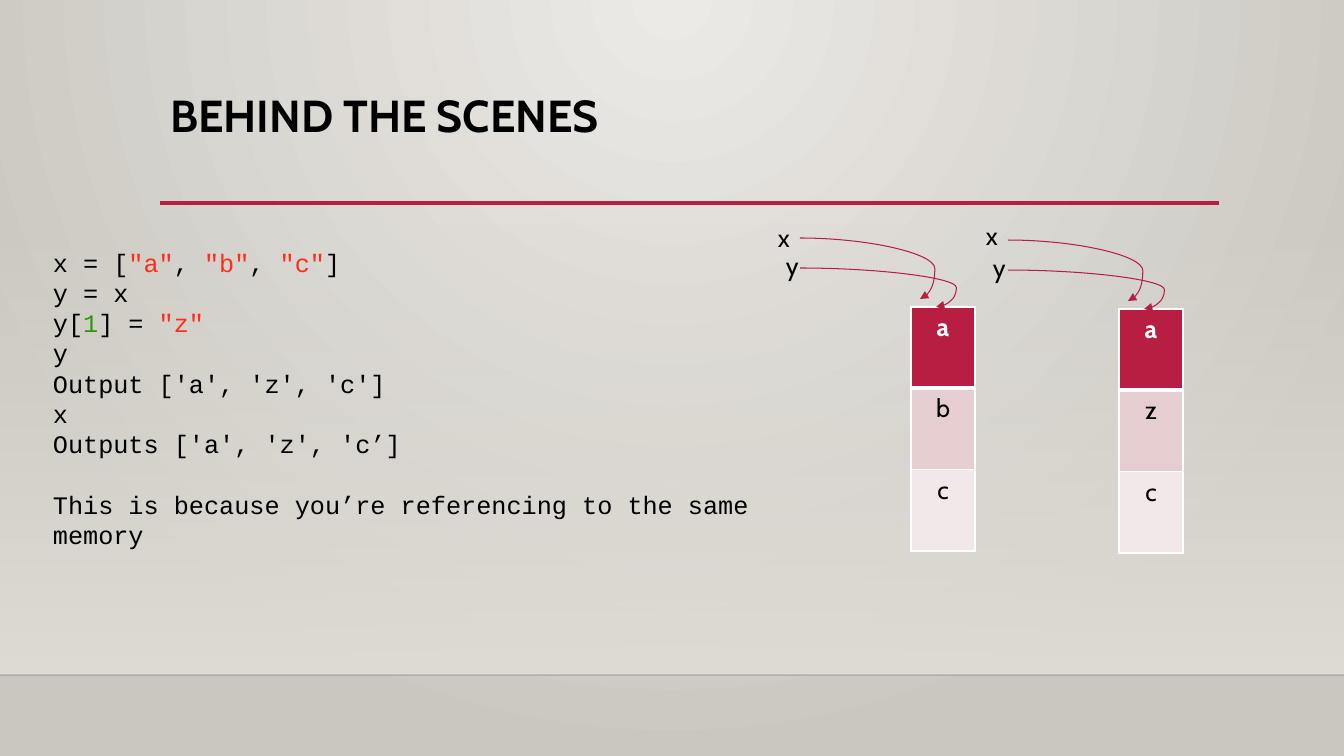
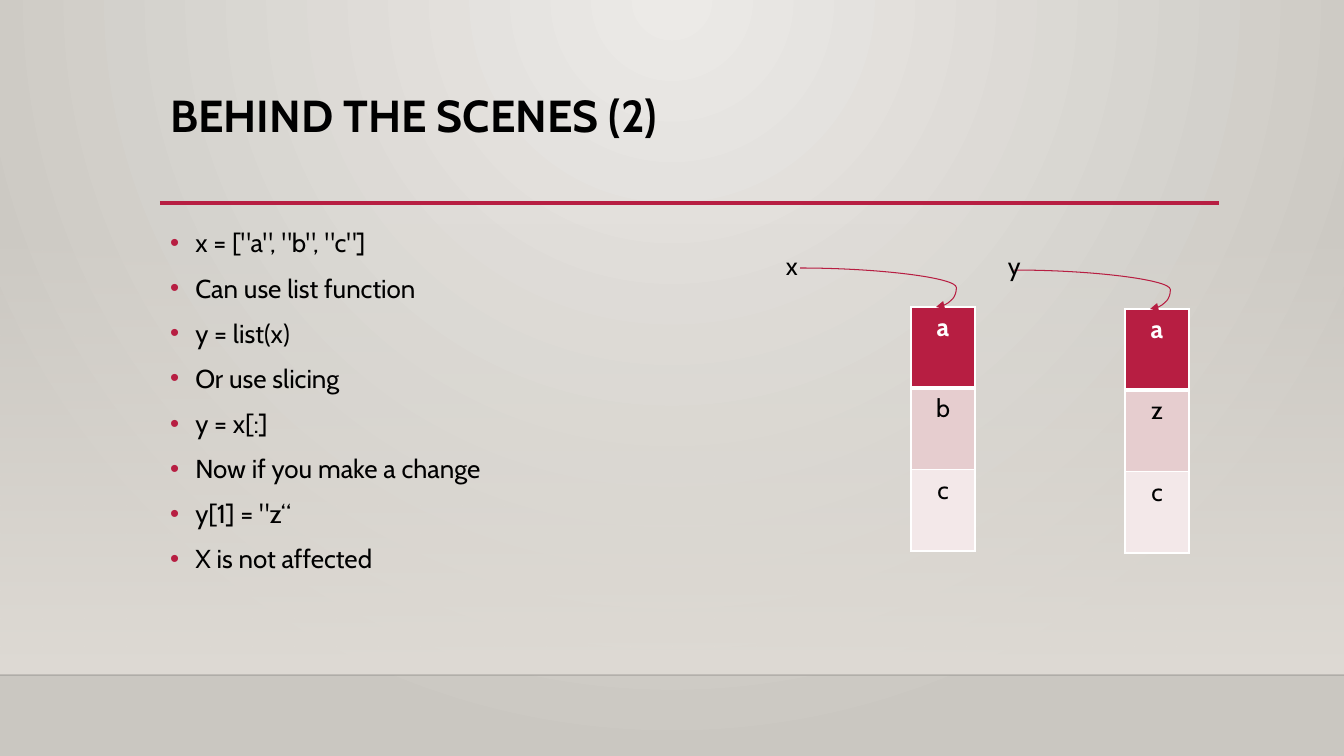
"""Builds two slides on how list references and list copies behave in memory."""
from lxml.etree import SubElement
from pptx import Presentation
from pptx.dml.color import RGBColor
from pptx.enum.shapes import MSO_CONNECTOR as LINE, MSO_SHAPE as SHAPE
from pptx.enum.text import MSO_ANCHOR as ANCHOR, MSO_AUTO_SIZE as FIT, PP_ALIGN as ALIGN
from pptx.oxml.ns import qn
from pptx.util import Emu, Pt

PX = 9071.43
BLACK = RGBColor(0, 0, 0)
WHITE = RGBColor(0xFF, 0xFF, 0xFF)
CRIMSON = RGBColor(0xB7, 0x1E, 0x42)
ROSE = RGBColor(0xE6, 0xCD, 0xCF)
BLUSH = RGBColor(0xF3, 0xE8, 0xE9)
PALE = RGBColor(0xEC, 0xEA, 0xE7)
STONE = RGBColor(0xCA, 0xC7, 0xC1)
SAND = RGBColor(0xDF, 0xDB, 0xD5)
RED = RGBColor(0xFF, 0x2C, 0x1B)
GREEN = RGBColor(0x2A, 0x9A, 0x0B)


def write(para, text, font="Cabin", size=18, color=BLACK, bold=False):
    span = para.add_run()
    span.text = text
    span.font.name = font
    span.font.size = Pt(size)
    span.font.color.rgb = color
    span.font.bold = bold


def draw_line(page, ends, kind=LINE.STRAIGHT, color=CRIMSON, width=0.75):
    line = page.shapes.add_connector(kind, *[Emu(int(n * PX)) for n in ends])
    line.line.color.rgb = color
    line.line.width = Pt(width)
    SubElement(line._element.spPr, qn("a:effectLst"))
    return line


deck = Presentation()
deck.slide_width = Emu(int(1344 * PX))
deck.slide_height = Emu(int(756 * PX))
master = deck.slide_master
code_page = deck.slides.add_slide(deck.slide_layouts[5])
copy_page = deck.slides.add_slide(deck.slide_layouts[1])

band = code_page.shapes.add_shape(SHAPE.RECTANGLE, *[Emu(int(n * PX)) for n in (0, 223, 1344, 452)])
band.shadow.inherit = False
band.line.fill.background()
backdrop = master.background.fill
for fill, colors in ((backdrop, (PALE, STONE)), (band.fill, (SAND, SAND))):
    fill.gradient()
    for stop, color, position in zip(fill.gradient_stops, colors, (0, 1)):
        stop.color.rgb = color
        stop.position = position
band.fill.gradient_angle = 270
clear_stop = band._element.xpath(".//a:gs/a:srgbClr")[0]
SubElement(clear_stop, qn("a:alpha"), val="0")
linear = master._element.xpath(".//p:bg//a:lin")[0]
radial = SubElement(linear.getparent(), qn("a:path"), {"path": "circle"})
SubElement(radial, qn("a:fillToRect"), l="43000", t="0", r="43000", b="100000")
linear.getparent().replace(linear, radial)

floor = draw_line(code_page, (0, 675, 1344, 675), color=RGBColor(0, 0, 1), width=1)
SubElement(floor._element.xpath(".//a:ln//a:srgbClr")[0], qn("a:alpha"), val="20000")
rule = draw_line(code_page, (160, 203, 1219, 203), width=2.5)
for index, item in enumerate((band, floor, rule)):
    item._element.xpath(".//p:cNvPr")[0].set("id", str(20 + index))
    master.shapes._spTree.insert(2 + index, item._element)

for page, heading in ((code_page, "BEHIND THE SCENES"), (copy_page, "BEHIND THE SCENES (2)")):
    title = page.shapes.title
    title.left, title.top, title.width, title.height = [Emu(int(n * PX)) for n in (160, 89, 1058, 116)]
    title.text_frame.vertical_anchor = ANCHOR.TOP
    title.text_frame.auto_size = FIT.NONE
    para = title.text_frame.paragraphs[0]
    para.alignment = ALIGN.LEFT
    para.line_spacing = 0.9
    write(para, heading, size=32, bold=True)

code_lines = [
    [("x = [", BLACK), ('"a"', RED), (", ", BLACK), ('"b"', RED), (", ", BLACK), ('"c"', RED), ("]", BLACK)],
    [("y = x", BLACK)],
    [("y[", BLACK), ("1", GREEN), ("] = ", BLACK), ('"z"', RED)],
    [("y", BLACK)],
    [("Output ['a', 'z', 'c']", BLACK)],
    [("x", BLACK)],
    [("Outputs ['a', 'z', 'c’]", BLACK)],
    [("This is because you’re referencing to the same memory", BLACK)],
]
code_box = code_page.shapes.add_textbox(*[Emu(int(n * PX)) for n in (43, 242, 719, 285)])
code_frame = code_box.text_frame
code_frame.word_wrap = True
for index, pieces in enumerate(code_lines):
    para = code_frame.add_paragraph() if index else code_frame.paragraphs[0]
    para.line_spacing = Pt(21.6)
    for text, color in pieces:
        write(para, text, font="Courier New", color=color)
para.space_before = Pt(21.6)

bullets = ['x = ["a", "b", "c"]', "Can use list function", "y = list(x)", "Or use slicing",
           "y = x[:]", "Now if you make a change", 'y[1] = "z“', "X is not affected"]
body = copy_page.placeholders[1]
body.left, body.top, body.width, body.height = [Emu(int(n * PX)) for n in (160, 222, 1058, 380)]
body_frame = body.text_frame
body_frame.auto_size = FIT.NONE
body_frame.vertical_anchor = ANCHOR.TOP
for index, text in enumerate(bullets):
    para = body_frame.add_paragraph() if index else body_frame.paragraphs[0]
    para.space_before = Pt(10)
    write(para, text, size=18.5)
    props = para._p.get_or_add_pPr()
    props.set("marL", "228600")
    props.set("indent", "-228600")
    SubElement(SubElement(props, qn("a:buClr")), qn("a:srgbClr"), val=str(CRIMSON))
    SubElement(props, qn("a:buFont"), typeface="Arial")
    SubElement(props, qn("a:buChar"), char="•")

LONG_ARROW = (-111, -39, 25, 0, 115000)
SHORT_ARROW = (-111, -69, 9, -8, 112400)
stacks = [
    (code_page, "abc", 911, 307, (SHORT_ARROW, LONG_ARROW), (("x", 768, 217), ("y", 776, 245))),
    (code_page, "azc", 1119, 309, (SHORT_ARROW, LONG_ARROW), (("x", 976, 215), ("y", 983, 247))),
    (copy_page, "abc", 911, 307, (LONG_ARROW,), (("x", 776, 245),)),
    (copy_page, "azc", 1125, 309, (LONG_ARROW,), (("y", 998, 245),)),
]
for page, letters, left, top, arrows, labels in stacks:
    table = page.shapes.add_table(3, 1, *[Emu(int(n * PX)) for n in (left, top, 64, 244)]).table
    table.horz_banding = False
    for row, (letter, color) in enumerate(zip(letters, (CRIMSON, ROSE, BLUSH))):
        cell = table.cell(row, 0)
        props = cell._tc.get_or_add_tcPr()
        for side in ("L", "R", "T", "B"):
            heavy = (row, side) in ((0, "B"), (1, "T"))
            border = SubElement(props, qn("a:ln" + side), w=str(Pt(3 if heavy else 1)))
            SubElement(SubElement(border, qn("a:solidFill")), qn("a:srgbClr"), val=str(WHITE))
        cell.fill.solid()
        cell.fill.fore_color.rgb = color
        para = cell.text_frame.paragraphs[0]
        para.alignment = ALIGN.CENTER
        write(para, letter, color=BLACK if row else WHITE, bold=row == 0)

    for start_x, start_y, end_x, end_y, bend in arrows:
        ends = (left + start_x, top + start_y, left + end_x, top + end_y)
        arrow = draw_line(page, ends, kind=LINE.CURVE)
        guides = arrow._element.spPr.prstGeom.get_or_add_avLst()
        SubElement(guides, qn("a:gd"), name="adj1", fmla=f"val {bend}")
        SubElement(arrow.line._get_or_add_ln(), qn("a:tailEnd"), type="triangle")

    for name, label_left, label_top in labels:
        label = page.shapes.add_textbox(*[Emu(int(n * PX)) for n in (label_left, label_top, 32, 40)])
        label.text_frame.word_wrap = False
        label.text_frame.auto_size = FIT.SHAPE_TO_FIT_TEXT
        write(label.text_frame.paragraphs[0], name)

deck.save("out.pptx")
